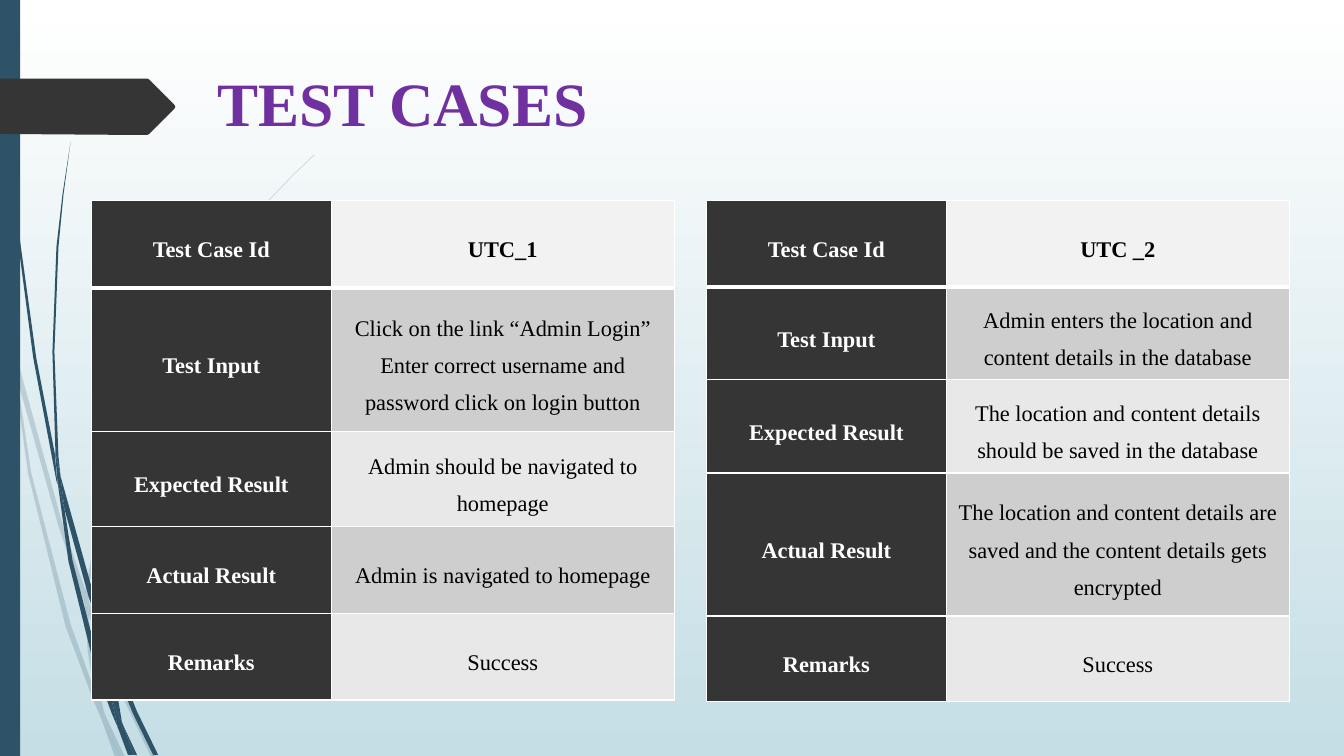
from lxml.etree import SubElement
from pptx import Presentation
from pptx.dml.color import RGBColor
from pptx.enum.shapes import MSO_SHAPE
from pptx.enum.text import MSO_ANCHOR, PP_ALIGN
from pptx.oxml import parse_xml
from pptx.oxml.ns import nsdecls, qn
from pptx.util import Cm, Pt

WHITE = RGBColor(0xFF, 0xFF, 0xFF)
BLACK = RGBColor(0, 0, 0)
MIST = RGBColor(0xC5, 0xDE, 0xE5)
TEAL = RGBColor(0x2E, 0x53, 0x69)
DARK = RGBColor(0x35, 0x35, 0x35)
PURPLE = RGBColor(0x70, 0x30, 0xA0)
HEAD = RGBColor(0xF2, 0xF2, 0xF2)
BANDS = RGBColor(0xCE, 0xCE, 0xCE), RGBColor(0xE8, 0xE8, 0xE8)
FONT = "Times New Roman"
GRID = Cm(2.54) / 100  # one step of the outlines below

# Blades of grass: corners of each outline in grid steps
PALE = [
    [(11, 350), (9, 322), (0, 282), (0, 299), (10, 344)],
    [(58, 522), (84, 599), (85, 586), (62, 520), (14, 345), (17, 376)],
    [(92, 607), (88, 596), (88, 610), (123, 694), (150, 751), (155, 751), (127, 692)],
    [(119, 751), (124, 751), (105, 711)],
    [(93, 683), (70, 619), (31, 469), (17, 376), (11, 350), (28, 470), (65, 621),
     (92, 693), (101, 714), (99, 707)],
    [(84, 599), (87, 646), (93, 683), (96, 692), (105, 711), (103, 706), (91, 646),
     (88, 610), (88, 608)],
    [(88, 584), (110, 462), (160, 349), (229, 245), (268, 198), (290, 175), (312, 154),
     (312, 153), (289, 175), (268, 197), (228, 244), (158, 348), (107, 461), (85, 584),
     (85, 586), (88, 596)],
    [(101, 714), (114, 751), (119, 751)],
    [(88, 608), (88, 610), (88, 596), (85, 586), (84, 599)],
    [(96, 692), (93, 683), (99, 707), (101, 714), (119, 751), (105, 711)],
]
DEEP = [
    [(7, 110), (17, 233), (33, 355), (56, 477), (57, 481), (55, 457), (55, 453),
     (36, 355), (19, 232), (8, 109), (5, 48), (4, 0), (3, 0), (4, 48)],
    [(88, 592), (106, 645), (106, 633), (106, 631), (93, 590), (60, 472), (64, 505)],
    [(113, 649), (110, 641), (111, 656), (132, 708), (152, 749), (157, 749), (136, 706)],
    [(110, 691), (98, 657), (72, 556), (64, 505), (57, 477), (68, 557), (93, 659),
     (111, 708), (117, 722), (116, 717)],
    [(60, 472), (58, 453), (54, 349), (58, 245), (63, 193), (70, 141), (62, 193),
     (56, 245), (52, 349), (55, 449)],
    [(133, 749), (136, 749), (122, 719)],
    [(57, 477), (64, 505), (60, 472), (55, 449), (55, 453)],
    [(111, 633), (125, 552), (158, 476), (205, 406), (231, 374), (245, 359), (261, 344),
     (260, 344), (245, 358), (231, 373), (204, 405), (156, 474), (122, 551), (106, 631),
     (110, 641)],
    [(117, 722), (127, 749), (131, 749)],
    [(106, 645), (110, 691), (116, 706), (122, 719), (121, 716), (111, 656), (109, 651)],
    [(106, 645), (109, 651), (111, 656), (110, 641), (106, 631), (106, 633)],
    [(116, 706), (110, 691), (116, 717), (117, 722), (130, 749), (133, 749), (122, 719)],
]
# Arrow tab with a blunted tip
TAB = [(173, 30), (148, 55), (146, 56), (136, 56), (0, 55), (0, 0),
       (146, 0), (148, 1), (173, 26), (174, 28)]

LABELS = ["Test Case Id", "Test Input", "Expected Result", "Actual Result", "Remarks"]
CASES = [
    (2.3, [2.2, 3.63, 2.39, 2.18, 2.19], [
        "UTC_1",
        "Click on the link “Admin Login” Enter correct username and "
        "password click on login button",
        "Admin should be navigated to homepage",
        "Admin is navigated to homepage",
        "Success"]),
    (17.8, [2.18, 2.34, 2.35, 3.6, 2.16], [
        "UTC _2",
        "Admin enters the location and content details in the database",
        "The location and content details should be saved in the database",
        "The location and content details are saved and the content details "
        "gets encrypted",
        "Success"]),
]


def style(item, form):
    for name, value in form.items():
        setattr(item, name, value)


def write(frame, text, size, color, bold, form):
    para = frame.paragraphs[0]
    style(para, form)
    run = para.add_run()
    run.text = text
    style(run.font, {"name": FONT, "size": Pt(size), "bold": bold})
    run.font.color.rgb = color


def paint(shape, color, alpha=100):
    shape.shadow.inherit = False
    shape.line.fill.background()
    shape.fill.solid()
    shape.fill.fore_color.rgb = color
    if alpha < 100:
        tint = next(shape.fill._xPr.iter(qn("a:srgbClr")))
        SubElement(tint, qn("a:alpha")).set("val", str(alpha * 1000))


def trace(slide, left, top, edge, color, alpha=100):
    pen = slide.shapes.build_freeform(*edge[0], scale=GRID)
    pen.add_line_segments(edge[1:], close=True)
    shape = pen.convert_to_shape(Cm(left), Cm(top))
    paint(shape, color, alpha)


def backdrop(slide, left, top, high):
    # Gradient from white down to mist
    fill = slide.background.fill
    fill.gradient()
    fill.gradient_angle = 270
    for stop, color, place in zip(fill.gradient_stops, (WHITE, MIST), (0, 1)):
        stop.color.rgb = color
        stop.position = place
    # Grass
    for group, alpha in ((PALE, 20), (DEEP, 100)):
        for blade in group:
            trace(slide, left, top, blade, TEAL, alpha)
    # Side bar
    bar = slide.shapes.add_shape(MSO_SHAPE.RECTANGLE, Cm(left), Cm(top), Cm(.51), Cm(high))
    paint(bar, TEAL)


def header(slide, left, top, wide):
    # Arrow tab
    trace(slide, left, top + .48, TAB, DARK)
    # Title
    box = slide.shapes.add_textbox(Cm(left + 5.23), Cm(top), Cm(wide - 5.23), Cm(3.56))
    style(box.text_frame, {"word_wrap": True, "vertical_anchor": MSO_ANCHOR.TOP})
    write(box.text_frame, "TEST CASES", 44, PURPLE, True, {"alignment": PP_ALIGN.LEFT})


def border(cell, row):
    props = cell._tc.get_or_add_tcPr()
    wide = {"L": 1, "R": 1, "T": 1, "B": 3 if row == 0 else 1}
    for spot, (side, size) in enumerate(wide.items()):
        props.insert(spot, parse_xml(
            f'<a:ln{side} {nsdecls("a")} w="{Pt(size)}"><a:solidFill>'
            f'<a:srgbClr val="{WHITE}"/></a:solidFill></a:ln{side}>'))


def case(slide, left, top, wide, rows, texts):
    grid = slide.shapes.add_table(len(rows), 2, Cm(left), Cm(top),
                                  Cm(wide), Cm(sum(rows))).table
    grid.horz_banding = False
    grid.columns[0].width = Cm(6.05)
    grid.columns[1].width = Cm(wide - 6.05)
    for row, high in enumerate(rows):
        grid.rows[row].height = Cm(high)
        value = HEAD if row == 0 else BANDS[(row - 1) % 2]
        parts = ((LABELS[row], WHITE, DARK, True), (texts[row], BLACK, value, row == 0))
        for col, (text, ink, fill, bold) in enumerate(parts):
            cell = grid.cell(row, col)
            style(cell, {"vertical_anchor": MSO_ANCHOR.MIDDLE,
                         "margin_left": Cm(.18), "margin_right": Cm(.18),
                         "margin_top": 0, "margin_bottom": 0})
            border(cell, row)
            cell.fill.solid()
            cell.fill.fore_color.rgb = fill
            write(cell.text_frame, text, 16, ink, bold,
                  {"alignment": PP_ALIGN.CENTER, "line_spacing": 1.5,
                   "space_after": Pt(8)})


def main():
    deck = Presentation()
    style(deck, {"slide_width": Cm(33.87), "slide_height": Cm(19.05)})
    slide = deck.slides.add_slide(deck.slide_layouts[6])
    backdrop(slide, 0, 0, 19.05)
    header(slide, 0, 1.5, 30.89)
    for left, rows, texts in CASES:
        case(slide, left, 5.05, 14.69, rows, texts)
    deck.save("out.pptx")


if __name__ == "__main__":
    main()
